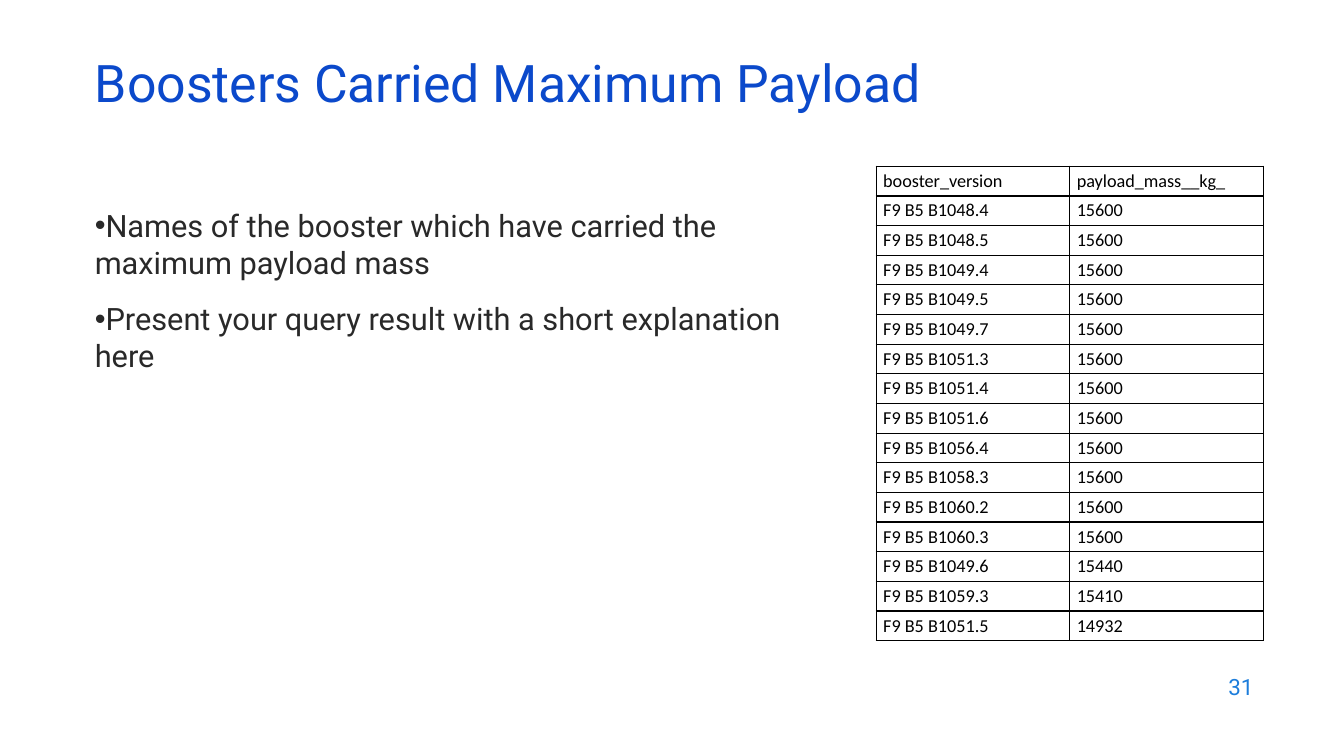
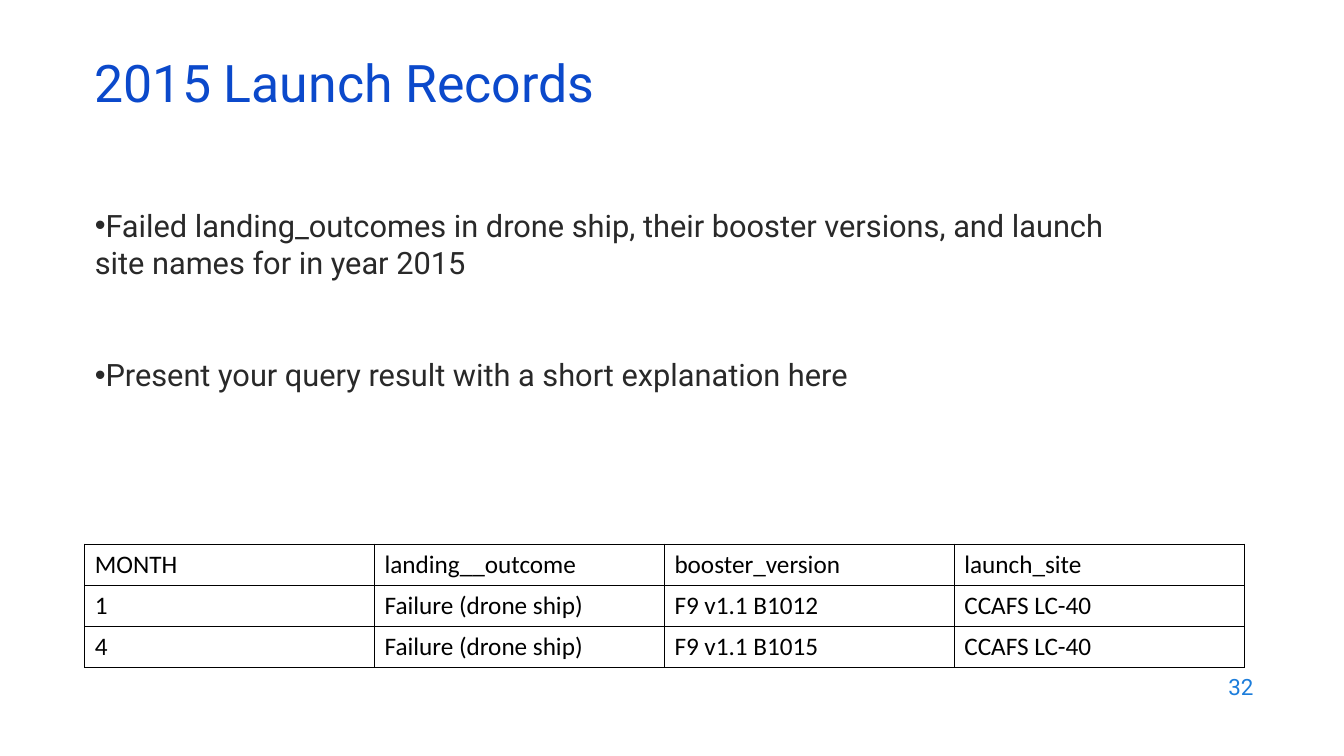
from lxml.etree import SubElement
from pptx import Presentation
from pptx.dml.color import RGBColor
from pptx.enum.text import MSO_ANCHOR, MSO_AUTO_SIZE, PP_ALIGN
from pptx.oxml.ns import qn
from pptx.util import Inches, Pt

COLORS = {"title": "0B49CB", "body": "292929", "number": "1C7DDB", "table": "000000"}
TEXT_FONT, TABLE_FONT = "Roboto", "Calibri"
TITLE_BOX = (0.84, 0.59, 11.5, 0.6)
NUMBER_BOX = (9.53, 6.59, 3, 0.44)

FULL_LOAD_BOOSTERS = [
    "B1048.4", "B1048.5", "B1049.4", "B1049.5", "B1049.7", "B1051.3",
    "B1051.4", "B1051.6", "B1056.4", "B1058.3", "B1060.2", "B1060.3",
]
PAYLOADS = [(booster, "15600") for booster in FULL_LOAD_BOOSTERS] + [
    ("B1049.6", "15440"), ("B1059.3", "15410"), ("B1051.5", "14932"),
]

SLIDES = [
    {
        "number": 31,
        "title": "Boosters Carried Maximum Payload",
        "bullets": [
            "Names of the booster which have carried the maximum payload mass",
            "Present your query result with a short explanation here",
        ],
        "body_box": (0.84, 2, 7.66, 4.59),
        "bullet_gap": 14,
        "rows": [("booster_version", "payload_mass__kg_")]
        + [(f"F9 B5 {booster}", mass) for booster, mass in PAYLOADS],
        "table_box": (8.69, 1.65, 3.84, 4.71),
        "table_size": 13,
        "cell_margins": (0.07, 0.03),
    },
    {
        "number": 32,
        "title": "2015 Launch Records",
        "bullets": [
            "Failed landing_outcomes in drone ship, their booster versions, "
            "and launch site names for in year 2015",
            "Present your query result with a short explanation here",
        ],
        "body_box": (0.84, 2, 10.66, 2.41),
        "bullet_gap": 54,
        "rows": [
            ("MONTH", "landing__outcome", "booster_version", "launch_site"),
            ("1", "Failure (drone ship)", "F9 v1.1 B1012", "CCAFS LC-40"),
            ("4", "Failure (drone ship)", "F9 v1.1 B1015", "CCAFS LC-40"),
        ],
        "table_box": (0.84, 5.4, 11.5, 1.22),
        "table_size": 18,
        "cell_margins": (0.1, 0.05),
    },
]


def place(shape, box):
    shape.left, shape.top, shape.width, shape.height = map(Inches, box)


def style_runs(paragraph, size, color, font_name=TEXT_FONT):
    for run in paragraph.runs:
        run.font.size = Pt(size)
        run.font.name = font_name
        run.font.color.rgb = RGBColor.from_string(COLORS[color])


def add_bullet(paragraph):
    """Put a bullet directly before the text, without a hanging indent."""
    properties = paragraph._p.get_or_add_pPr()
    properties.set("marL", "0")
    properties.set("indent", "0")
    SubElement(properties, qn("a:buFont"), typeface="Arial")
    SubElement(properties, qn("a:buChar"), char="•")


def add_borders(cell):
    properties = cell._tc.get_or_add_tcPr()
    for side in ("lnL", "lnR", "lnT", "lnB"):
        line = SubElement(properties, qn(f"a:{side}"), w=str(Pt(1)))
        fill = SubElement(line, qn("a:solidFill"))
        SubElement(fill, qn("a:srgbClr"), val=COLORS["table"])


def fill_title(shape, text):
    place(shape, TITLE_BOX)
    frame = shape.text_frame
    frame.text = text
    frame.auto_size = MSO_AUTO_SIZE.NONE
    frame.vertical_anchor = MSO_ANCHOR.MIDDLE
    paragraph = frame.paragraphs[0]
    paragraph.alignment = PP_ALIGN.LEFT
    paragraph.line_spacing = 0.7
    style_runs(paragraph, 37, "title")


def fill_body(shape, bullets, box, gap):
    place(shape, box)
    frame = shape.text_frame
    frame.text = "\n".join(bullets)
    frame.auto_size = MSO_AUTO_SIZE.NONE
    for index, paragraph in enumerate(frame.paragraphs):
        paragraph.space_before = Pt(gap if index else 0)
        add_bullet(paragraph)
        style_runs(paragraph, 22, "body")


def add_number(slide, number):
    frame = slide.shapes.add_textbox(*map(Inches, NUMBER_BOX)).text_frame
    frame.word_wrap = True
    frame.vertical_anchor = MSO_ANCHOR.MIDDLE
    frame.text = str(number)
    frame.paragraphs[0].alignment = PP_ALIGN.RIGHT
    style_runs(frame.paragraphs[0], 16, "number")


def add_data_table(slide, rows, box, size, margins):
    shape = slide.shapes.add_table(len(rows), len(rows[0]), *map(Inches, box))
    table = shape.table
    table.first_row = table.horz_banding = False
    side_margin, end_margin = map(Inches, margins)
    for row_index, values in enumerate(rows):
        for column_index, value in enumerate(values):
            cell = table.cell(row_index, column_index)
            cell.text = value
            cell.margin_left = cell.margin_right = side_margin
            cell.margin_top = cell.margin_bottom = end_margin
            cell.vertical_anchor = MSO_ANCHOR.MIDDLE
            add_borders(cell)
            cell.fill.background()
            style_runs(cell.text_frame.paragraphs[0], size, "table", TABLE_FONT)


def main():
    presentation = Presentation()
    presentation.slide_width, presentation.slide_height = Inches(13.33), Inches(7.5)
    for content in SLIDES:
        slide = presentation.slides.add_slide(presentation.slide_layouts[1])
        fill_title(slide.shapes.title, content["title"])
        fill_body(slide.placeholders[1], content["bullets"],
                  content["body_box"], content["bullet_gap"])
        add_number(slide, content["number"])
        add_data_table(slide, content["rows"], content["table_box"],
                       content["table_size"], content["cell_margins"])
    presentation.save("out.pptx")


if __name__ == "__main__":
    main()
